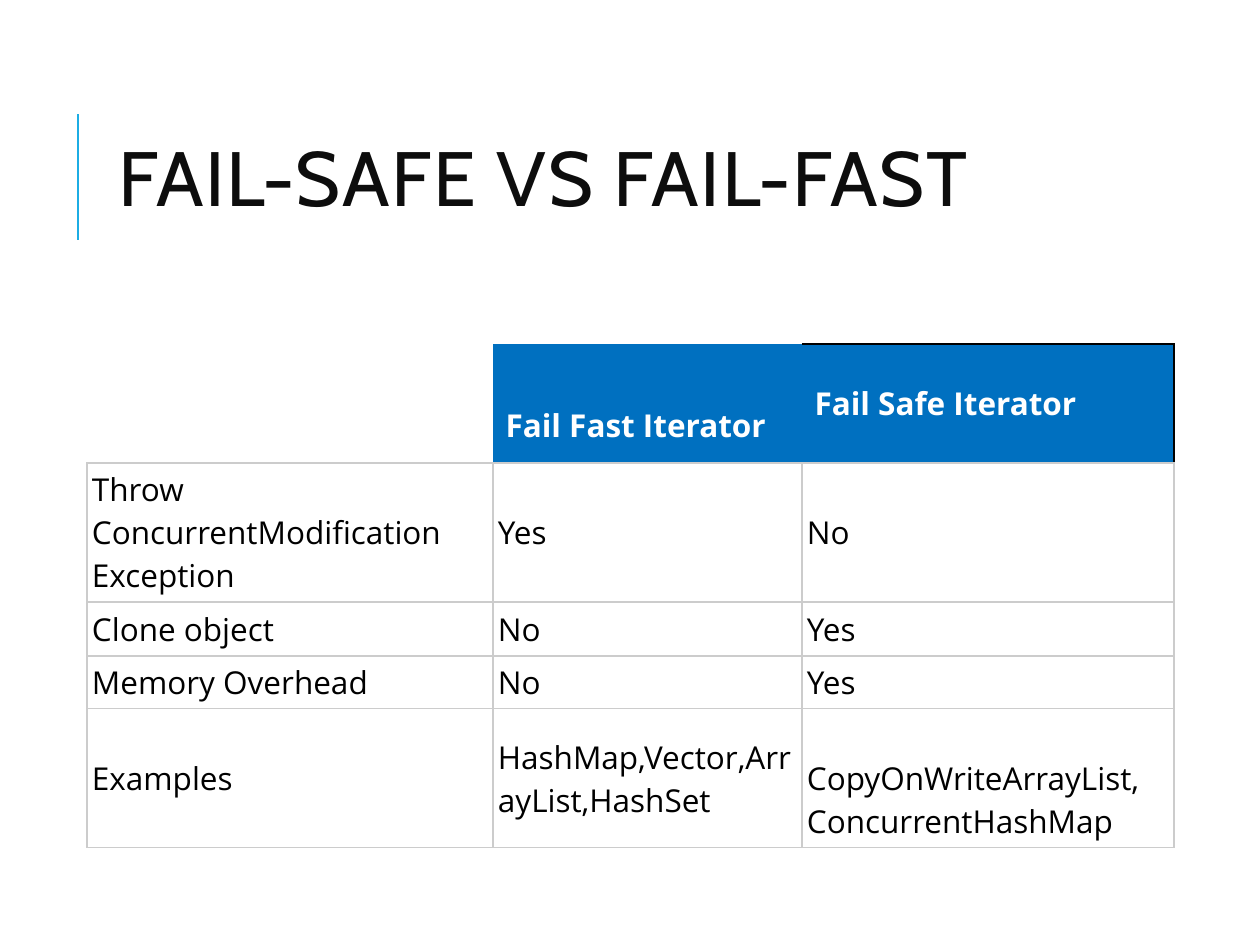
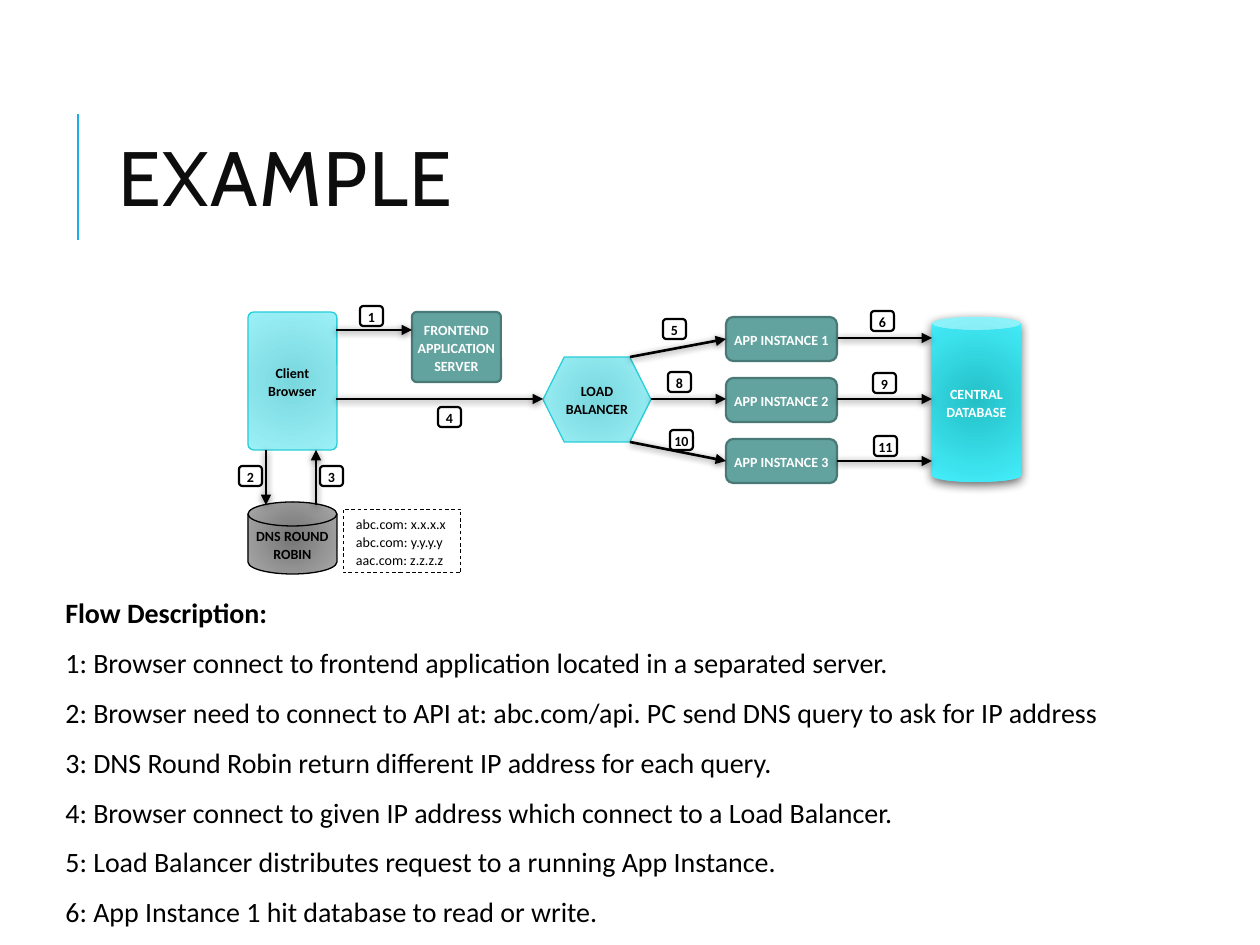
from lxml import etree
from pptx import Presentation
from pptx import util as u
from pptx.dml import color
from pptx.enum import dml, shapes, text
from pptx.oxml import ns

SCALE = 914400 / 126
BLACK, WHITE, INK = "000000", "FFFFFF", "0D0D0D"
ACCENT, HEADER_BLUE, GRID_GREY = "1CADE4", "0070C0", "CCCCCC"
TITLE_FONT, TABLE_FONT, BODY_FONT = "Cabin", "Open Sans", "Calibri"
SHAPE = shapes.MSO_SHAPE
MIDDLE = text.MSO_ANCHOR.MIDDLE
CENTER, JUSTIFY = text.PP_ALIGN.CENTER, text.PP_ALIGN.JUSTIFY

# Fill (a pair runs from the centre outwards), outline, outline width, text colour
STYLES = {
    "client": (("79D7DE", "9CF0F7"), "27CED7", 0.75, BLACK),
    "server": ("62A39F", "497976", 1.25, WHITE),
    "dns": (("767676", "A9A9A9"), BLACK, 0.75, BLACK),
    "database": (("24C0C8", "44EEFA"), None, 0, WHITE),
    "badge": (WHITE, BLACK, 1.25, BLACK),
    "note": (WHITE, BLACK, 0.5, BLACK),
}

COMPARISON = [
    ["", "Fail Fast Iterator", "Fail Safe Iterator"],
    ["Throw ConcurrentModification Exception", "Yes", "No"],
    ["Clone object", "No", "Yes"],
    ["Memory Overhead", "No", "Yes"],
    ["Examples", "HashMap,Vector,ArrayList,HashSet",
     "CopyOnWriteArrayList,\nConcurrentHashMap"],
]
COLUMN_WIDTHS = [406, 309, 372]
ROW_HEIGHTS = [119, 139, 54, 53, 139]
LOWERED_CELLS = [(0, 1), (4, 2)]
LINE_HEIGHT = 43

# Step number: arrow start, arrow end, badge corner
STEPS = {
    1: ((100, 30), (176, 30), (124, 6)),
    2: ((30, 150), (30, 205), (3, 166)),
    3: ((80, 205), (80, 150), (84, 166)),
    4: ((100, 99), (307, 99), (202, 107)),
    5: ((394, 57), (490, 39), (427, 19)),
    6: ((602, 38), (696, 38), (635, 11)),
    8: ((415, 99), (490, 99), (432, 72)),
    9: ((601, 99), (696, 99), (637, 73)),
    10: ((394, 142), (490, 161), (434, 130)),
    11: ((601, 161), (696, 161), (638, 136)),
}
DNS_RECORDS = "abc.com: x.x.x.x\nabc.com: y.y.y.y\naac.com: z.z.z.z"
FLOW_DESCRIPTION = """Flow Description:
1: Browser connect to frontend application located in a separated server.
2: Browser need to connect to API at: abc.com/api. PC send DNS query to ask for IP address
3: DNS Round Robin return different IP address for each query.
4: Browser connect to given IP address which connect to a Load Balancer.
5: Load Balancer distributes request to a running App Instance.
6: App Instance 1 hit database to read or write."""


def px(length):
    """Turn pixels into EMU."""
    return u.Emu(round(length * SCALE))


def rgb(value):
    """Turn a hex string into a colour."""
    return color.RGBColor.from_string(value)


def sub(parent, tag, **attributes):
    """Append a DrawingML element to parent."""
    child = etree.SubElement(parent, ns.qn("a:" + tag))
    for key, value in attributes.items():
        child.set(key, str(value))
    return child


def write(frame, words, size, font, ink, bold=False, align=None, spacing=None, after=None):
    """Fill a text frame, one paragraph for each line of words."""
    frame.text = words
    for paragraph in frame.paragraphs:
        paragraph.font.size = u.Pt(size)
        paragraph.font.name = font
        paragraph.font.bold = bold
        paragraph.font.color.rgb = rgb(ink)
        paragraph.alignment = align
        paragraph.line_spacing = spacing
        if after is not None:
            paragraph.space_after = u.Pt(after)


def add_text_frame(slide, left, top, width, height):
    """Add a wrapping text box and return its text frame."""
    frame = slide.shapes.add_textbox(px(left), px(top), px(width), px(height)).text_frame
    frame.word_wrap = True
    return frame


def add_line(slide, start, end, line_color):
    """Add a straight 1.5 pt line and return it with an empty effect list."""
    line = slide.shapes.add_connector(
        shapes.MSO_CONNECTOR.STRAIGHT, *(px(value) for value in (*start, *end)))
    line.line.color.rgb = rgb(line_color)
    line.line.width = u.Pt(1.5)
    return line, sub(line._element.spPr, "effectLst")


def add_shadow(effects, alpha, blur, distance):
    """Put a downward black shadow into an effect list."""
    shadow = sub(effects, "outerShdw", blurRad=u.Pt(blur), dist=u.Pt(distance),
                 dir=5400000, algn="ctr", rotWithShape=0)
    sub(sub(shadow, "srgbClr", val=BLACK), "alpha", val=alpha * 1000)


def add_title(slide, words):
    """Place the accent rule and the slide title."""
    add_line(slide, (78, 240), (78, 114), ACCENT)
    frame = add_text_frame(slide, 106, 81, 1004, 207)
    frame.vertical_anchor = MIDDLE
    write(frame, words, 44, TITLE_FONT, INK, spacing=0.8)
    frame.paragraphs[0].runs[0].font._element.set("spc", "100")


def border_cell(cell, **edges):
    """Draw the given edges of a cell; an edge of None stays bare."""
    properties = cell._tc.get_or_add_tcPr()
    for position, side in enumerate("LRTB"):
        edge = etree.Element(ns.qn("a:ln" + side), w=str(u.Pt(0.75)))
        if edges.get(side):
            sub(sub(edge, "solidFill"), "srgbClr", val=edges[side])
        else:
            sub(edge, "noFill")
        properties.insert(position, edge)


def add_comparison(slide, left, top):
    """Place the iterator comparison table."""
    table = slide.shapes.add_table(
        len(ROW_HEIGHTS), len(COLUMN_WIDTHS), px(left), px(top),
        px(sum(COLUMN_WIDTHS)), px(sum(ROW_HEIGHTS))).table
    table.horz_banding = False
    for column, width in zip(table.columns, COLUMN_WIDTHS):
        column.width = px(width)
    for r, (row, height) in enumerate(zip(COMPARISON, ROW_HEIGHTS)):
        table.rows[r].height = px(height)
        for c, words in enumerate(row):
            cell = table.cell(r, c)
            header = r == 0
            cell.vertical_anchor = MIDDLE
            write(cell.text_frame, words, 18, TABLE_FONT, WHITE if header else BLACK, header)
            if header and not words:
                cell.fill.background()
            else:
                cell.fill.solid()
                cell.fill.fore_color.rgb = rgb(HEADER_BLUE if header else WHITE)
            if not header:
                cell.margin_left = cell.margin_right = px(5)
                cell.margin_top = cell.margin_bottom = px(5)
                border_cell(cell, **dict.fromkeys("LRTB", GRID_GREY))
            else:
                outline = BLACK if c == len(row) - 1 else None
                border_cell(cell, R=outline, T=outline, B=GRID_GREY)
            if (r, c) in LOWERED_CELLS:
                cell.margin_top += px(LINE_HEIGHT)


def paint(shape, fill, outline, width):
    """Give a shape a plain or radial fill and an outline."""
    shape.shadow.inherit = False
    if isinstance(fill, tuple):
        shape.fill.gradient()
        for stop, value, position in zip(shape.fill.gradient_stops, fill, (0, 1)):
            stop.color.rgb = rgb(value)
            stop.position = position
        gradient = shape._element.spPr.find(ns.qn("a:gradFill"))
        gradient.remove(gradient.find(ns.qn("a:lin")))
        sub(sub(gradient, "path", path="circle"), "fillToRect",
            l=50000, t=50000, r=50000, b=50000)
    else:
        shape.fill.solid()
        shape.fill.fore_color.rgb = rgb(fill)
    if outline:
        shape.line.color.rgb = rgb(outline)
        shape.line.width = u.Pt(width)
    else:
        shape.line.fill.background()


def add_node(slide, kind, style, box, words, corner=None, inset=0, bold=True, align=CENTER):
    """Add one labelled part of the diagram."""
    shape = slide.shapes.add_shape(kind, *(px(value) for value in box))
    if corner is not None:
        shape.adjustments[0] = corner
    fill, outline, width, ink = STYLES[style]
    paint(shape, fill, outline, width)
    frame = shape.text_frame
    frame.word_wrap = True
    frame.vertical_anchor = MIDDLE
    frame.margin_left, frame.margin_right = px(inset), 0
    frame.margin_top = frame.margin_bottom = 0
    write(frame, words, 8, BODY_FONT, ink, bold, align, 1.07)
    return shape


def add_request_diagram(slide, left, top):
    """Place the servers, the arrows between them and the step numbers."""
    def at(x, y):
        return left + x, top + y

    add_node(slide, SHAPE.ROUNDED_RECTANGLE, "server", (*at(176, 12), 89, 70),
             "FRONTEND APPLICATION SERVER", 0.066)
    client = add_node(slide, SHAPE.ROUNDED_RECTANGLE, "client", (*at(12, 12), 89, 138),
                      "Client Browser", 0.066, inset=13)
    client.text_frame.margin_right = px(13)
    add_node(slide, SHAPE.FLOWCHART_MAGNETIC_DISK, "dns", (*at(12, 202), 89, 72),
             "DNS ROUND ROBIN")
    add_node(slide, SHAPE.HEXAGON, "client", (*at(307, 57), 108, 85), "LOAD BALANCER")
    for i in range(3):
        add_node(slide, SHAPE.ROUNDED_RECTANGLE, "server", (*at(490, 17 + 61 * i), 111, 44),
                 f"APP INSTANCE {i + 1}")
    database = add_node(slide, SHAPE.CAN, "database", (*at(696, 17), 89, 165),
                        "CENTRAL DATABASE", 0.142)
    add_shadow(database._element.spPr.find(ns.qn("a:effectLst")), 60, 6, 2)
    note = add_node(slide, SHAPE.RECTANGLE, "note", (*at(107, 209), 118, 64), DNS_RECORDS,
                    inset=13, bold=False, align=JUSTIFY)
    note.line.dash_style = dml.MSO_LINE.DASH

    for start, end, _ in STEPS.values():
        arrow, effects = add_line(slide, at(*start), at(*end), BLACK)
        sub(arrow.line._get_or_add_ln(), "tailEnd", type="triangle")
        add_shadow(effects, 50, 4, 1)
    for number, (_, _, corner) in STEPS.items():
        add_node(slide, SHAPE.ROUNDED_RECTANGLE, "badge", (*at(*corner), 23, 20), str(number))


def add_flow_description(slide, left, top, width, height):
    """Place the heading and the numbered steps below the diagram."""
    frame = add_text_frame(slide, left, top, width, height)
    write(frame, FLOW_DESCRIPTION, 16, BODY_FONT, BLACK, spacing=1.07, after=8)
    frame.paragraphs[0].font.bold = True


def add_slide(deck, title):
    """Start a blank slide with the shared title."""
    slide = deck.slides.add_slide(deck.slide_layouts[6])
    add_title(slide, title)
    return slide


def main():
    """Build both slides and save them."""
    deck = Presentation()
    deck.slide_width, deck.slide_height = px(1260), px(945)
    add_comparison(add_slide(deck, "FAIL-SAFE VS FAIL-FAST"), 87, 344)
    example = add_slide(deck, "EXAMPLE")
    add_request_diagram(example, 236, 300)
    add_flow_description(example, 53, 587, 1155, 352)
    deck.save("out.pptx")


main()
